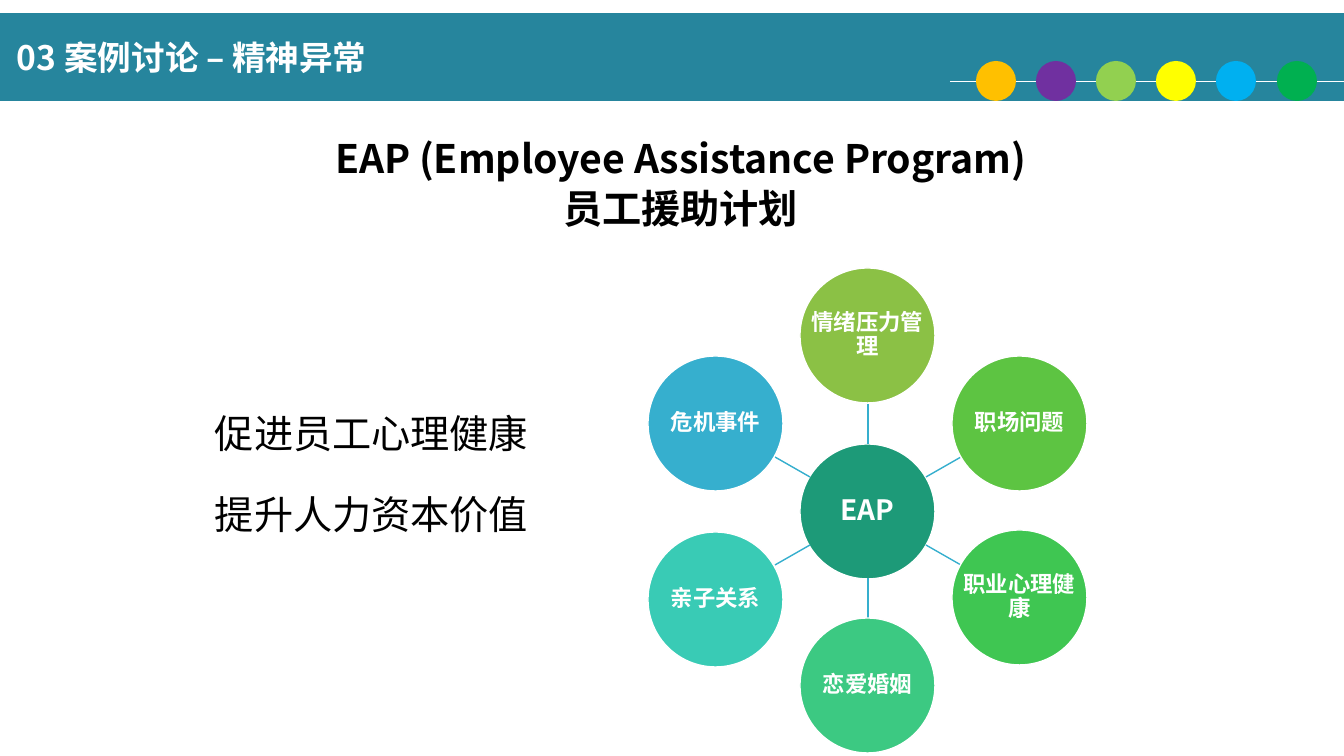
import math

from lxml import etree
from pptx import Presentation
from pptx import util as u
from pptx.dml.color import RGBColor
from pptx.enum import shapes, text
from pptx.oxml.ns import qn

WHITE = RGBColor(0xFF, 0xFF, 0xFF)
BLACK = RGBColor(0x00, 0x00, 0x00)
TEAL = RGBColor(0x26, 0x85, 0x9D)
HUB_GREEN = RGBColor(0x1D, 0x9A, 0x78)
SPOKE_BLUE = RGBColor(0x36, 0xAF, 0xCE)
DOT_COLOURS = [
    RGBColor(0xFF, 0xC0, 0x00), RGBColor(0x70, 0x30, 0xA0), RGBColor(0x92, 0xD0, 0x50),
    RGBColor(0xFF, 0xFF, 0x00), RGBColor(0x00, 0xB0, 0xF0), RGBColor(0x00, 0xB0, 0x50),
]
# Clockwise from the top
TOPICS = [
    ("情绪压力管理", RGBColor(0x8B, 0xC1, 0x45)),
    ("职场问题", RGBColor(0x5D, 0xC4, 0x42)),
    ("职业心理健康", RGBColor(0x3F, 0xC6, 0x52)),
    ("恋爱婚姻", RGBColor(0x3C, 0xC9, 0x82)),
    ("亲子关系", RGBColor(0x39, 0xCB, 0xB5)),
    ("危机事件", SPOKE_BLUE),
]


class SlideBuilder:
    """Holds the style and the current slide; lengths are in px."""

    SCALE = 12192000 / 1344
    FONT = "Noto Sans CJK SC"
    BODY_FONT = "Noto Sans CJK JP"

    def __init__(self, presentation):
        presentation.slide_width = self.px(1344)
        presentation.slide_height = self.px(756)
        self.slide = presentation.slides.add_slide(presentation.slide_layouts[5])

    def px(self, length):
        return u.Emu(round(length * self.SCALE))

    def set_text(self, shape, lines, size, colour, bold=True, font=FONT, inset=(10, 5, 10, 5),
                 align=text.PP_ALIGN.CENTER, anchor=text.MSO_ANCHOR.MIDDLE, spacing=1.0, gap=0):
        frame = shape.text_frame
        left, top, right, bottom = map(self.px, inset)
        frame_format = {
            "margin_left": left, "margin_top": top, "margin_right": right,
            "margin_bottom": bottom, "word_wrap": True, "vertical_anchor": anchor,
            "auto_size": text.MSO_AUTO_SIZE.NONE,
        }
        for name, value in frame_format.items():
            setattr(frame, name, value)
        paragraph_format = {
            "alignment": align, "line_spacing": spacing, "space_before": u.Pt(0),
        }
        font_format = {"name": font, "size": u.Pt(size), "bold": bold}
        for index, line in enumerate(lines):
            paragraph = frame.add_paragraph() if index else frame.paragraphs[0]
            for name, value in paragraph_format.items():
                setattr(paragraph, name, value)
            paragraph.space_after = u.Pt(gap if index < len(lines) - 1 else 0)
            run = paragraph.add_run()
            run.text = line
            for name, value in font_format.items():
                setattr(run.font, name, value)
            run.font.color.rgb = colour
            # East Asian glyphs need their own typeface entry
            etree.SubElement(run._r.get_or_add_rPr(), qn("a:ea"), typeface=font)

    def title(self, line, box, fill, **style):
        shape = self.slide.shapes.title
        for name, value in zip(("left", "top", "width", "height"), box):
            setattr(shape, name, self.px(value))
        shape.fill.solid()
        shape.fill.fore_color.rgb = fill
        self.set_text(shape, [line], **style)

    def text_box(self, lines, box, **style):
        shape = self.slide.shapes.add_textbox(*map(self.px, box))
        self.set_text(shape, lines, **style)

    def circle(self, left, top, diameter, fill, outline=None):
        shape = self.slide.shapes.add_shape(
            shapes.MSO_SHAPE.OVAL, *map(self.px, (left, top, diameter, diameter)))
        shape.shadow.inherit = False
        shape.fill.solid()
        shape.fill.fore_color.rgb = fill
        if outline is None:
            shape.line.fill.background()
        else:
            shape.line.color.rgb = outline
            shape.line.width = u.Pt(1)

    def line(self, start, end, colour, width):
        connector = self.slide.shapes.add_connector(
            shapes.MSO_CONNECTOR.STRAIGHT, *map(self.px, (*start, *end)))
        connector.line.color.rgb = colour
        connector.line.width = u.Pt(width)
        etree.SubElement(connector._element.spPr, qn("a:effectLst"))

    def node(self, label, centre, diameter, fill, size):
        left, top = (round(value - diameter / 2) for value in centre)
        self.circle(left, top, diameter, fill, WHITE)
        self.text_box([label], (left, top, diameter, diameter), size=size, colour=WHITE,
                      inset=(1, 1, 1, 1), spacing=0.9)


def main():
    presentation = Presentation()
    builder = SlideBuilder(presentation)

    # Title band with its row of dots
    builder.title("03 案例讨论 – 精神异常", (0, 13, 1344, 88), TEAL, size=24, colour=WHITE,
                  inset=(17, 5, 10, 5), align=text.PP_ALIGN.LEFT)
    builder.line((950, 81), (1344, 81), WHITE, 0.5)
    for index, colour in enumerate(DOT_COLOURS):
        builder.circle(976 + index * 301 // 5, 61, 40, colour)

    # Subtitle and goals
    builder.text_box(["EAP (Employee Assistance Program)", "员工援助计划"],
                     (252, 138, 857, 127), size=28, colour=BLACK,
                     anchor=text.MSO_ANCHOR.TOP, spacing=0.82, gap=8)
    builder.text_box(["促进员工心理健康", "提升人力资本价值"], (169, 390, 405, 167),
                     size=28, colour=BLACK, bold=False, font=builder.BODY_FONT, gap=24.5)

    # Radial diagram: hub, spokes and topics
    centre, diameter, orbit = (868, 511), 135, 175
    builder.node("EAP", centre, diameter, HUB_GREEN, 20)
    for index, (label, colour) in enumerate(TOPICS):
        angle = math.tau * index / len(TOPICS)

        def point(radius):
            return (round(centre[0] + radius * math.sin(angle)),
                    round(centre[1] - radius * math.cos(angle)))

        builder.line(point(diameter / 2), point(orbit - diameter / 2), SPOKE_BLUE, 1)
        builder.node(label, point(orbit), diameter, colour, 16)

    presentation.save("out.pptx")


if __name__ == "__main__":
    main()
